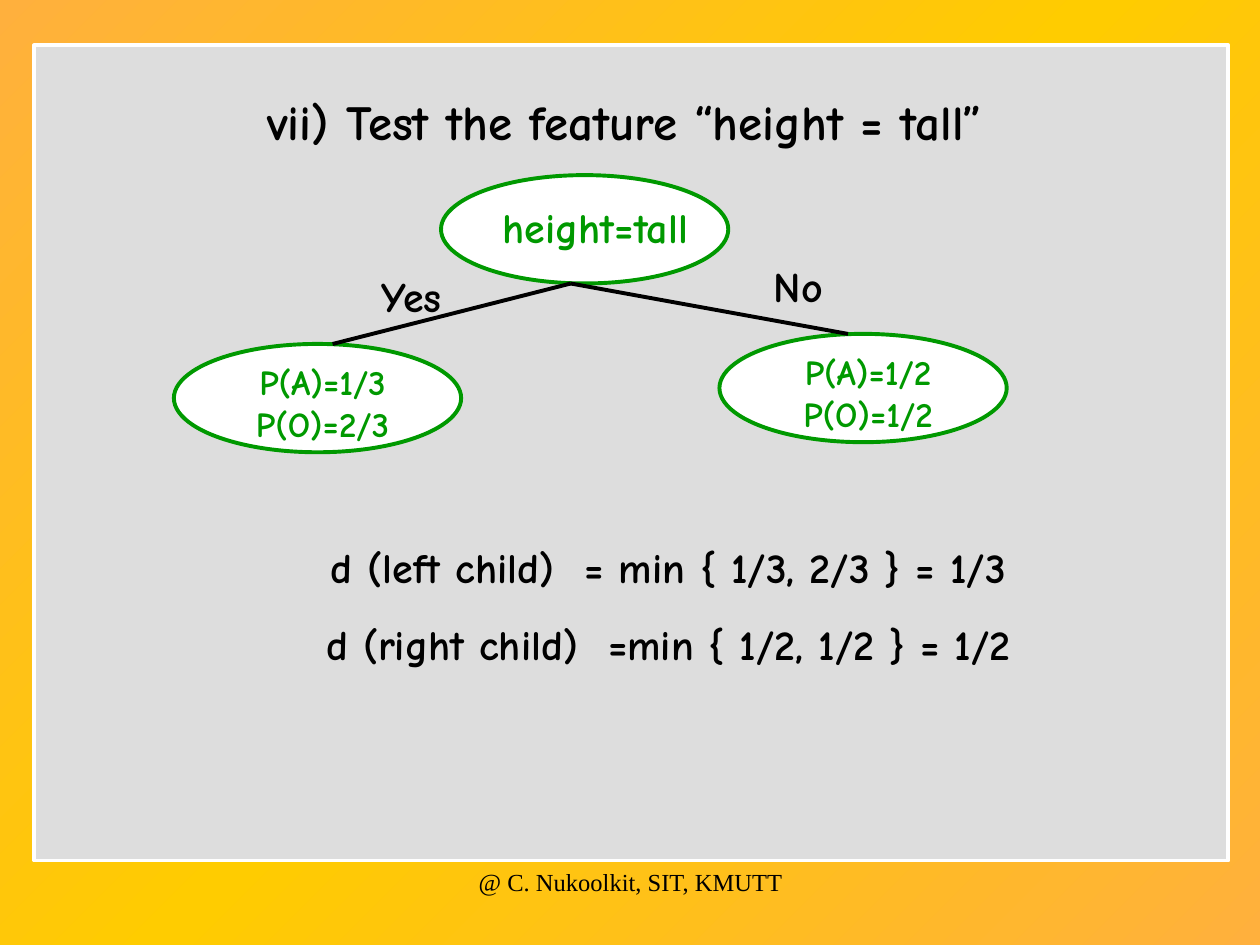
from copy import deepcopy

from lxml.etree import SubElement
from pptx import Presentation
from pptx.dml.color import RGBColor
from pptx.enum.shapes import MSO_CONNECTOR, MSO_SHAPE
from pptx.enum.text import PP_ALIGN
from pptx.oxml.ns import qn
from pptx.util import Inches, Pt

BLACK = RGBColor(0x00, 0x00, 0x00)
WHITE = RGBColor(0xFF, 0xFF, 0xFF)
GRAY = RGBColor(0xDD, 0xDD, 0xDD)
GREEN = RGBColor(0x00, 0x99, 0x00)
ORANGE = RGBColor(0xFF, 0xB0, 0x3D)
YELLOW = RGBColor(0xFF, 0xCC, 0x00)

deck = Presentation()
deck.slide_width = Inches(10)
deck.slide_height = Inches(7.5)
slide = deck.slides.add_slide(deck.slide_layouts[6])
shapes = slide.shapes


def add_text(text, left, top, width, height, size=24, color=BLACK,
             font="Comic Neue", bold=True):
    """Add a centred text box with one paragraph per line of text."""
    box = shapes.add_textbox(*map(Inches, (left, top, width, height)))
    frame = box.text_frame
    frame.word_wrap = True
    frame.text = text
    for i, para in enumerate(frame.paragraphs):
        para.alignment = PP_ALIGN.CENTER
        if i:
            para.space_before = Pt(15)
        para.font.size = Pt(size)
        para.font.name = font
        para.font.bold = bold
        para.font.color.rgb = color


def add_panel(kind, left, top, width, height, fill, line):
    panel = shapes.add_shape(kind, *map(Inches, (left, top, width, height)))
    panel.shadow.inherit = False
    panel.fill.solid()
    panel.fill.fore_color.rgb = fill
    panel.line.color.rgb = line
    panel.line.width = Pt(2.25)


# Background: orange corners with a yellow diagonal
back = slide.background.fill
back.gradient()
back.gradient_angle = 135
stops = slide.element.xpath(".//a:gsLst")[0]
stops.append(deepcopy(stops[0]))
for stop, place, color in zip(back.gradient_stops, (0, 0.5, 1),
                              (ORANGE, YELLOW, ORANGE)):
    stop.position = place
    stop.color.rgb = color

add_panel(MSO_SHAPE.RECTANGLE, 0.27, 0.36, 9.48, 6.47, GRAY, WHITE)
add_text("vii) Test the feature “height = tall”", 0.35, 0.68, 9.21, 1.28, size=28)

# Tree nodes
for left, top in ((3.5, 1.39), (1.38, 2.73), (5.71, 2.65)):
    add_panel(MSO_SHAPE.OVAL, left, top, 2.28, 0.86, WHITE, GREEN)
add_text("height=tall", 3.19, 1.55, 3.07, 0.5, color=GREEN)
for text, left, top in (("P(A)=1/3 P(O)=2/3", 1.77, 2.81),
                        ("P(A)=1/2 P(O)=1/2", 6.1, 2.73)):
    add_text(text, left, top, 1.58, 0.77, size=20, color=GREEN)

# Branches and their answers
for text, left, top, end_x, end_y in (("Yes", 2.4, 2.1, 2.64, 2.73),
                                      ("No", 5.47, 2.02, 6.73, 2.65)):
    branch = shapes.add_connector(MSO_CONNECTOR.STRAIGHT,
                                  *map(Inches, (4.53, 2.25, end_x, end_y)))
    branch.line.color.rgb = BLACK
    branch.line.width = Pt(2.25)
    SubElement(branch.element.spPr, qn("a:effectLst"))
    add_text(text, left, top, 1.73, 0.5)

add_text("d (left child)  = min { 1/3, 2/3 } = 1/3\n"
         "d (right child)  =min { 1/2, 1/2 } = 1/2", 1.75, 4.25, 7.11, 1.11)
add_text("@ C. Nukoolkit, SIT, KMUTT", 3.42, 6.83, 3.17, 0.5, size=14,
         font="Times New Roman", bold=False)

deck.save("out.pptx")
